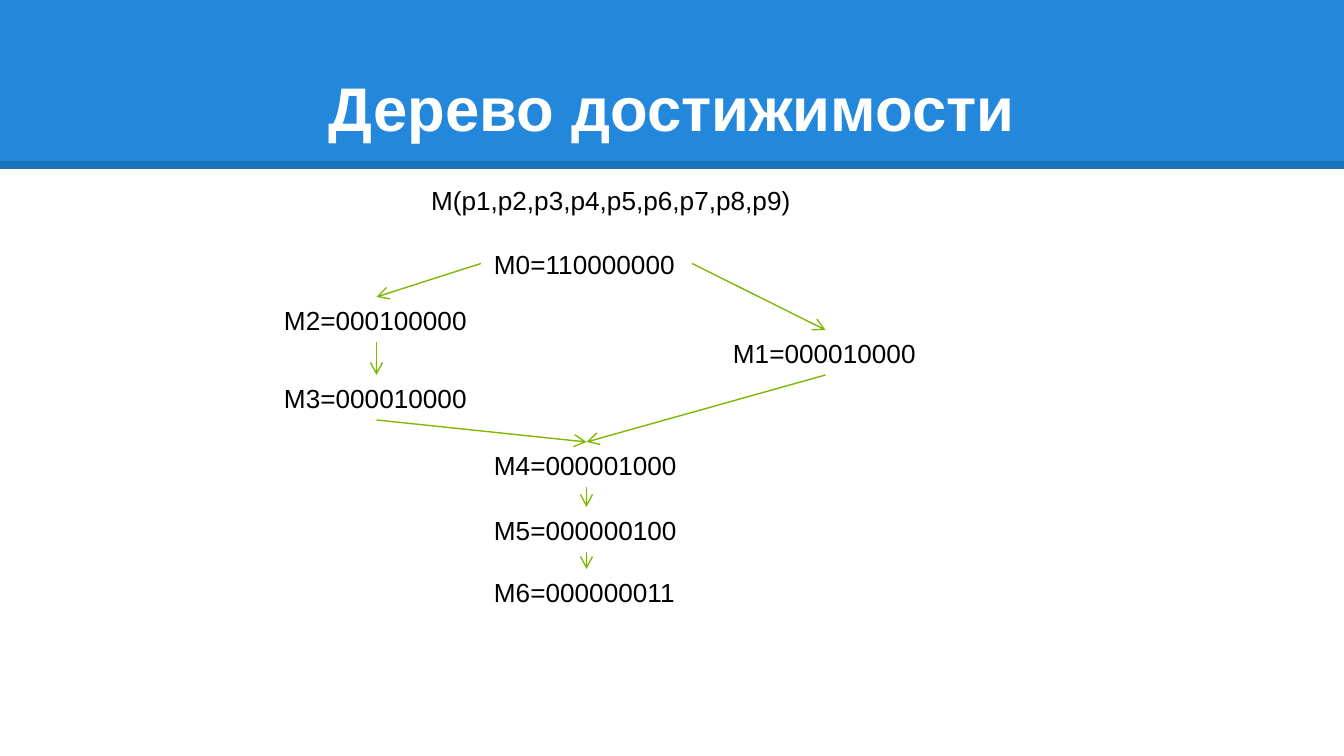
from pptx import Presentation
from pptx import util as u
from pptx.dml.color import RGBColor
from pptx.enum import shapes, text
from pptx.oxml.ns import qn
from lxml import etree

PX = 914400 / 134.4
COLORS = {"header": "2388DB", "rule": "000000", "title": "FFFFFF", "text": "000000", "arrow": "7FB602"}


def px(n):
    return u.Emu(round(n * PX))


def add_text(content, x, y, w, h, size=14, color="text", bold=False, wrap=False, inset=(13, 7),
             align=text.PP_ALIGN.LEFT, anchor=text.MSO_ANCHOR.TOP):
    tb = s.shapes.add_textbox(px(x), px(y), px(w), px(h))
    tf = tb.text_frame
    tf.word_wrap = wrap
    tf.vertical_anchor = anchor
    tf.margin_left = tf.margin_right = px(inset[0])
    tf.margin_top = tf.margin_bottom = px(inset[1])
    p = tf.paragraphs[0]
    p.alignment = align
    r = p.add_run()
    r.text = content
    r.font.name = "Arial"
    r.font.size = u.Pt(size)
    r.font.bold = bold
    r.font.color.rgb = RGBColor.from_string(COLORS[color])
    return tb


prs = Presentation()
prs.slide_width, prs.slide_height = px(1344), px(756)
s = prs.slides.add_slide(prs.slide_layouts[6])

header = s.shapes.add_shape(shapes.MSO_SHAPE.RECTANGLE, 0, 0, px(1344), px(169))
header.shadow.inherit = False
header.fill.solid()
header.fill.fore_color.rgb = RGBColor.from_string(COLORS["header"])
header.line.fill.background()

rule = s.shapes.add_connector(shapes.MSO_CONNECTOR.STRAIGHT, 0, px(165), px(1344), px(165))
rule.line.width = u.Pt(4.5)
rule.line.color.rgb = RGBColor.from_string(COLORS["rule"])
etree.SubElement(rule.line._ln.find(".//" + qn("a:srgbClr")), qn("a:alpha"), val="15000")
etree.SubElement(rule._element.spPr, qn("a:effectLst"))

add_text("Дерево достижимости", 67, 31, 1210, 126, size=33, color="title", bold=True, wrap=True,
         inset=(13, 13), align=text.PP_ALIGN.CENTER, anchor=text.MSO_ANCHOR.BOTTOM)
add_text("М(p1,p2,p3,p4,p5,p6,p7,p8,p9)", 418, 177, 388, 45)

LEFT, MIDDLE, RIGHT = 271, 481, 720
markings = [
    ("110000000", MIDDLE, 241),
    ("000010000", RIGHT, 330),
    ("000100000", LEFT, 297),
    ("000010000", LEFT, 375),
    ("000001000", MIDDLE, 442),
    ("000000100", MIDDLE, 507),
    ("000000011", MIDDLE, 569),
]
nodes = [add_text(f"М{i}={code}", x, y, 211, 45) for i, (code, x, y) in enumerate(markings)]

TOP_SITE, LEFT_SITE, BOTTOM_SITE, RIGHT_SITE = range(4)
edges = [
    (0, RIGHT_SITE, 1),
    (0, LEFT_SITE, 2),
    (2, BOTTOM_SITE, 3),
    (1, BOTTOM_SITE, 4),
    (3, BOTTOM_SITE, 4),
    (4, BOTTOM_SITE, 5),
    (5, BOTTOM_SITE, 6),
]
for source, site, target in edges:
    arrow = s.shapes.add_connector(shapes.MSO_CONNECTOR.STRAIGHT, 0, 0, 0, 0)
    arrow.begin_connect(nodes[source], site)
    arrow.end_connect(nodes[target], TOP_SITE)
    arrow.line.width = u.Pt(0.75)
    arrow.line.color.rgb = RGBColor.from_string(COLORS["arrow"])
    etree.SubElement(arrow.line._ln, qn("a:tailEnd"), type="arrow")
    etree.SubElement(arrow._element.spPr, qn("a:effectLst"))

prs.save("out.pptx")
